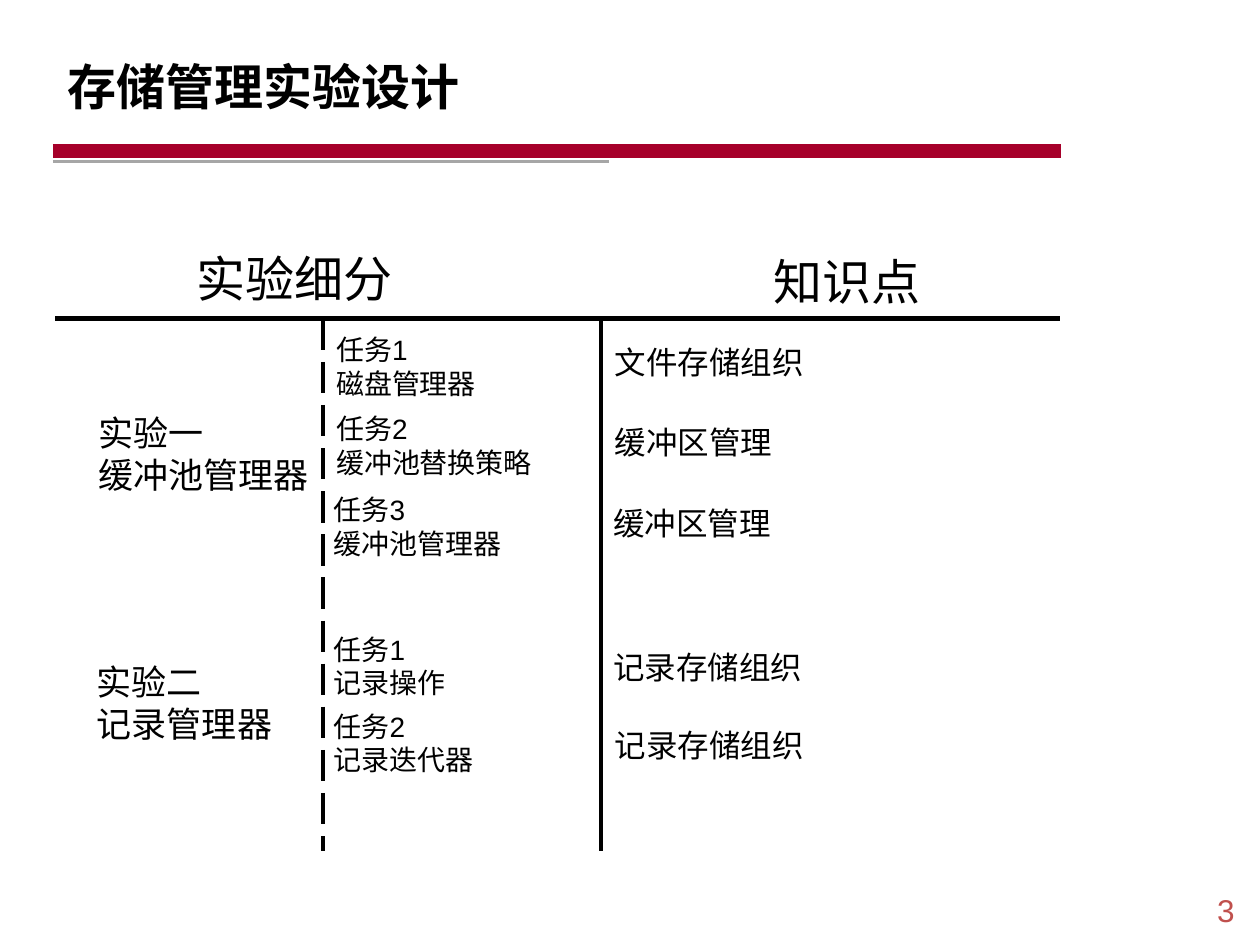
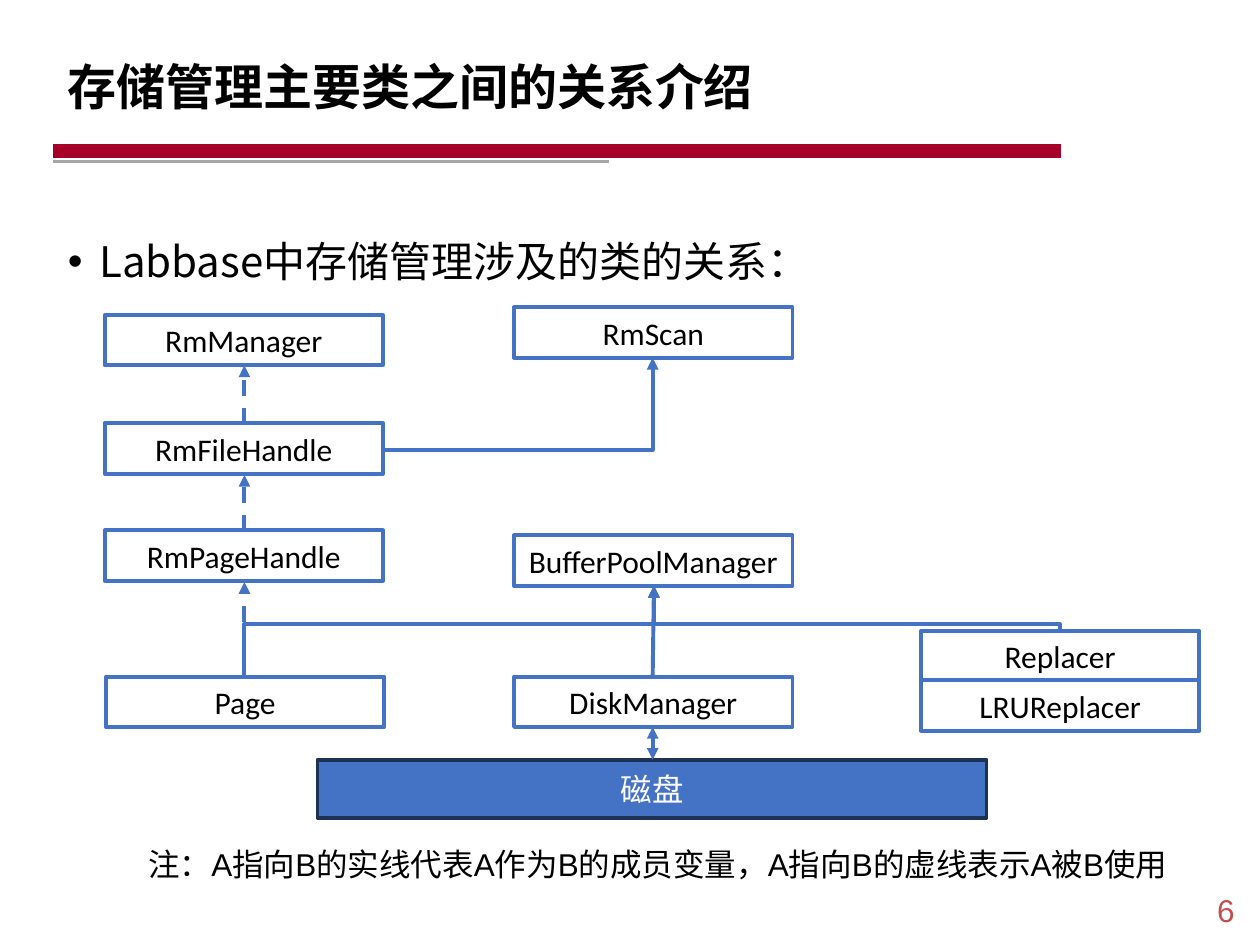
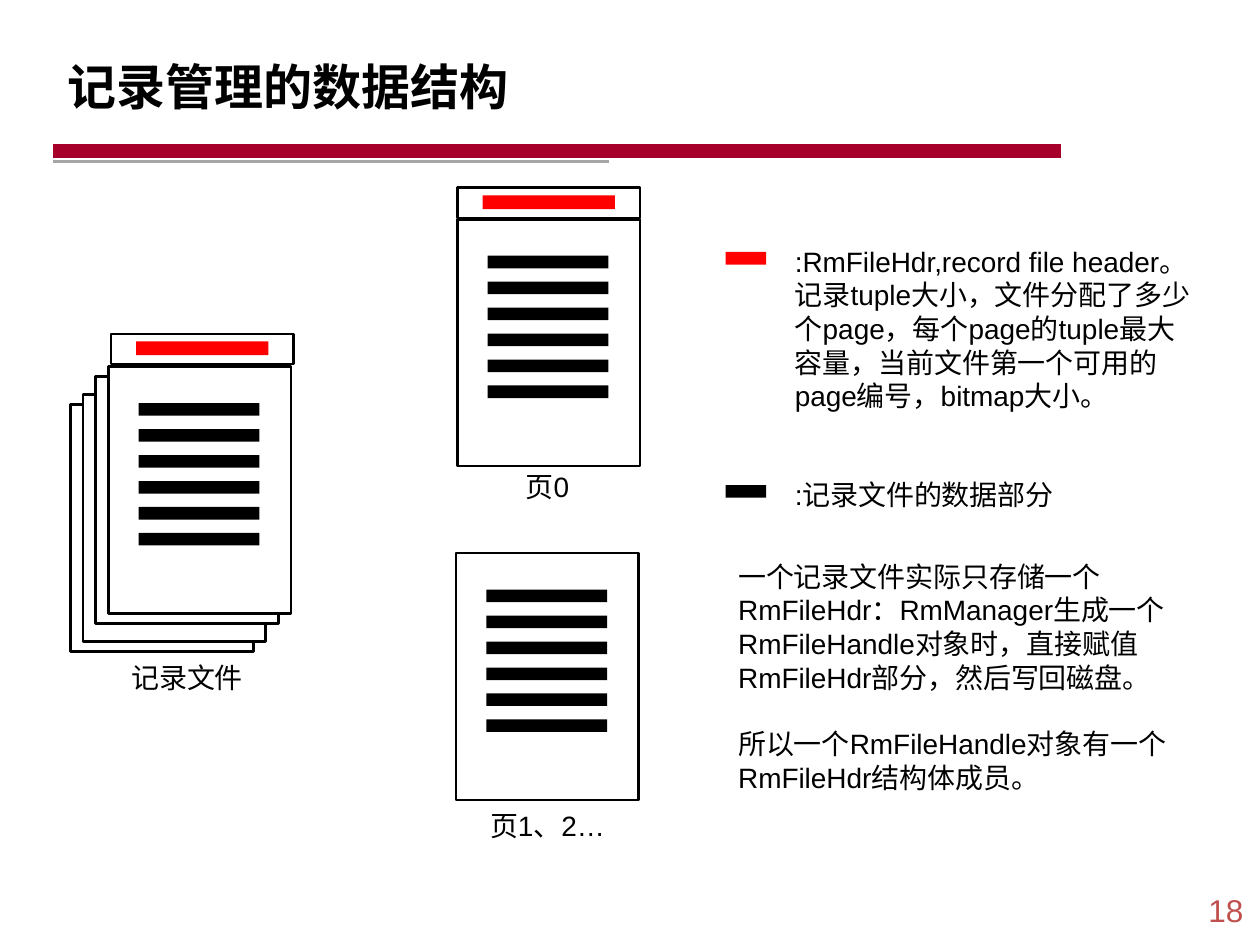
from lxml.etree import SubElement
from pptx import Presentation
from pptx.dml.color import RGBColor
from pptx.enum.dml import MSO_LINE
from pptx.enum.shapes import MSO_CONNECTOR, MSO_SHAPE
from pptx.enum.text import MSO_ANCHOR, PP_ALIGN
from pptx.oxml.ns import qn
from pptx.util import Inches, Pt

COLORS = {
    "black": "000000", "white": "FFFFFF", "band": "A6002A", "rule": "A6A6A6",
    "number": "C0504D", "blue": "4472C4", "navy": "1E3256", "red": "FF0000",
}
CJK = "Noto Sans CJK SC"
FONTS = {
    "title": {"name": CJK, "size": Pt(28), "bold": True},
    "bullet": {"name": CJK, "size": Pt(24)},
    "heading": {"name": "Arial", "size": Pt(28)},
    "lab": {"name": "Arial", "size": Pt(20)},
    "body": {"name": "Arial", "size": Pt(18)},
    "small": {"name": "Arial", "size": Pt(16)},
    "class": {"name": "Calibri", "size": Pt(18)},
}
BOX_W, BOX_H = 2.21, 0.4
PAGE_W, PAGE_H = 1.45, 1.96


def rgb(name):
    return RGBColor.from_string(COLORS[name])


def write(tf, text, font, color="black", align=PP_ALIGN.LEFT,
          anchor=MSO_ANCHOR.TOP, **paragraph):
    """Fill a text frame, one paragraph for each line of text."""
    tf.word_wrap = True
    tf.vertical_anchor = anchor
    for i, line in enumerate(text.split("\n")):
        p = tf.add_paragraph() if i else tf.paragraphs[0]
        p.alignment = align
        for key, value in paragraph.items():
            setattr(p, key, value)
        r = p.add_run()
        r.text = line
        for key, value in FONTS[font].items():
            setattr(r.font, key, value)
        r.font.color.rgb = rgb(color)
        SubElement(r.font._element, qn("a:ea"), typeface=CJK)


def add_text(s, x, y, w, h, text, font, **options):
    tf = s.shapes.add_textbox(Inches(x), Inches(y), Inches(w), Inches(h)).text_frame
    write(tf, text, font, **options)
    return tf


def add_rect(s, x, y, w, h, fill="white", line=None, width=1.5):
    sp = s.shapes.add_shape(MSO_SHAPE.RECTANGLE,
                            Inches(x), Inches(y), Inches(w), Inches(h))
    sp.shadow.inherit = False
    sp.fill.solid()
    sp.fill.fore_color.rgb = rgb(fill)
    if line:
        sp.line.color.rgb = rgb(line)
        sp.line.width = Pt(width)
    else:
        sp.line.fill.background()
    return sp


def add_line(s, x1, y1, x2, y2, color="black", width=2.25, dash=None,
             ends=(), kind=MSO_CONNECTOR.STRAIGHT):
    c = s.shapes.add_connector(kind, Inches(x1), Inches(y1), Inches(x2), Inches(y2))
    c.line.color.rgb = rgb(color)
    c.line.width = Pt(width)
    if dash:
        c.line.dash_style = dash
    for end in ends:
        SubElement(c.line._ln, qn(f"a:{end}"), type="triangle")
    SubElement(c._element.spPr, qn("a:effectLst"))
    return c


def add_arrow(s, x1, y1, x2, y2, dash=None, ends=("tailEnd",),
              kind=MSO_CONNECTOR.STRAIGHT):
    return add_line(s, x1, y1, x2, y2, "blue", dash=dash, ends=ends, kind=kind)


def add_corner_arrow(s, x1, y1, x2, y2):
    """Arrow that runs sideways and then turns up."""
    c = add_arrow(s, x1, y1, x2, y2, kind=MSO_CONNECTOR.ELBOW)
    c._element.spPr.find(qn("a:prstGeom")).set("prst", "bentConnector2")


def add_rising_arrow(s, x1, y1, x2, y2, turn):
    """Arrow that rises, crosses at the share `turn` of its height, and rises again."""
    c = add_arrow(s, x1, y1, x2, y2, kind=MSO_CONNECTOR.ELBOW)
    w, h = y1 - y2, abs(x2 - x1)
    c.left, c.top = Inches((x1 + x2 - w) / 2), Inches((y1 + y2 - h) / 2)
    c.width, c.height = Inches(w), Inches(h)
    xfrm = c._element.spPr.find(qn("a:xfrm"))
    xfrm.set("rot", str(270 * 60000))
    xfrm.set("flipH", "0")
    xfrm.set("flipV", "1" if x2 < x1 else "0")
    guides = c._element.spPr.find(qn("a:prstGeom")).get_or_add_avLst()
    SubElement(guides, qn("a:gd"), name="adj1", fmla=f"val {round(turn * 100000)}")


def add_slide(prs, title, number):
    """Blank slide with the shared bands, page number and title."""
    s = prs.slides.add_slide(prs.slide_layouts[6])
    add_line(s, 0.42, 1.2, 8.42, 1.2, "band", 8)
    add_line(s, 0.42, 1.28, 4.83, 1.28, "rule", 1.8)
    add_text(s, 9.46, 7.02, 0.54, 0.4, str(number), "body",
             color="number", align=PP_ALIGN.CENTER)
    add_text(s, 0.44, 0.25, 8.62, 0.86, title, "title", anchor=MSO_ANCHOR.MIDDLE)
    return s


def add_class(s, x, y, name):
    sp = add_rect(s, x, y, BOX_W, BOX_H, line="blue", width=2.25)
    write(sp.text_frame, name, "class", align=PP_ALIGN.CENTER, anchor=MSO_ANCHOR.MIDDLE)


def add_page(s, x, y):
    """File page with six lines of record data."""
    add_rect(s, x, y, PAGE_W, PAGE_H, line="black")
    for i in range(6):
        add_rect(s, x + 0.24, y + 0.29 + i * 0.206, 0.96, 0.1, "black")


def add_file_header(s, x, y):
    add_rect(s, x, y, PAGE_W, 0.24, line="black")
    add_rect(s, x + 0.2, y + 0.06, 1.05, 0.11, "red")


def build_lab_design(prs):
    s = add_slide(prs, "存储管理实验设计", 3)
    add_line(s, 0.44, 2.53, 8.41, 2.53, width=3)
    add_line(s, 2.56, 2.53, 2.56, 6.75, dash=MSO_LINE.LONG_DASH)
    add_line(s, 4.77, 2.53, 4.77, 6.75)
    add_text(s, 1.46, 1.92, 1.89, 0.57, "实验细分", "heading")
    add_text(s, 6.04, 1.95, 1.43, 0.57, "知识点", "heading")
    add_text(s, 0.68, 3.22, 1.89, 0.77, "实验一\n缓冲池管理器", "lab")
    add_text(s, 0.67, 5.19, 1.89, 0.77, "实验二\n记录管理器", "lab")
    tasks = [
        (2.57, 2.59, "任务1\n磁盘管理器", 4.78, 2.67, "文件存储组织"),
        (2.57, 3.22, "任务2\n缓冲池替换策略", 4.78, 3.31, "缓冲区管理"),
        (2.55, 3.86, "任务3\n缓冲池管理器", 4.77, 3.95, "缓冲区管理"),
        (2.55, 4.97, "任务1\n记录操作", 4.77, 5.09, "记录存储组织"),
        (2.55, 5.58, "任务2\n记录迭代器", 4.78, 5.71, "记录存储组织"),
    ]
    for task_x, task_y, task, topic_x, topic_y, topic in tasks:
        add_text(s, task_x, task_y, 2.21, 0.64, task, "small")
        add_text(s, topic_x, topic_y, 3.63, 0.4, topic, "body")


def build_class_relations(prs):
    s = add_slide(prs, "存储管理主要类之间的关系介绍", 6)
    tf = add_text(s, 0.44, 1.54, 8.8, 5.84, "Labbase中存储管理涉及的类的关系：", "bullet",
                  line_spacing=1.7, space_before=Pt(10))
    pPr = tf.paragraphs[0]._p.get_or_add_pPr()
    pPr.set("marL", str(Inches(0.25)))
    pPr.set("indent", str(-Inches(0.25)))
    SubElement(pPr, qn("a:buFont"), typeface="Arial")
    SubElement(pPr, qn("a:buChar"), char="•")

    classes = [
        (0.83, 2.5, "RmManager"), (4.08, 2.44, "RmScan"),
        (0.83, 3.36, "RmFileHandle"), (0.83, 4.21, "RmPageHandle"),
        (4.08, 4.25, "BufferPoolManager"), (0.84, 5.37, "Page"),
        (4.08, 5.37, "DiskManager"), (7.31, 5.01, "Replacer"),
        (7.31, 5.4, "LRUReplacer"),
    ]
    for x, y, name in classes:
        add_class(s, x, y, name)
    disk = add_rect(s, 2.52, 6.03, 5.31, 0.46, "blue", "navy", 2.25)
    write(disk.text_frame, "磁盘", "body", color="white",
          align=PP_ALIGN.CENTER, anchor=MSO_ANCHOR.MIDDLE)

    add_arrow(s, 5.18, 5.77, 5.18, 6.03, ends=("headEnd", "tailEnd"))
    add_rising_arrow(s, 1.94, 5.37, 5.19, 4.65, 0.58)
    add_rising_arrow(s, 8.41, 5.01, 5.19, 4.65, 0.16)
    add_arrow(s, 5.18, 5.37, 5.19, 4.65)
    for start, end in [(5.37, 4.62), (4.21, 3.77), (3.36, 2.9)]:
        add_arrow(s, 1.94, start, 1.94, end, dash=MSO_LINE.DASH)
    add_corner_arrow(s, 3.04, 3.57, 5.18, 2.84)
    add_text(s, 0.93, 6.54, 8.58, 0.64,
             "注：A指向B的实线代表A作为B的成员变量，A指向B的虚线表示A被B使用",
             "body", align=PP_ALIGN.CENTER, anchor=MSO_ANCHOR.MIDDLE)


def build_record_structure(prs):
    s = add_slide(prs, "记录管理的数据结构", 18)
    for x, y, caption in [(0.43, 5.19, "记录文件"), (3.29, 3.68, "页0"),
                          (3.29, 6.37, "页1、2…")]:
        add_text(s, x, y, 2.11, 0.37, caption, "small", align=PP_ALIGN.CENTER)

    legend = [
        (2, "red", 1.45, ":RmFileHdr,record file header。记录tuple大小，文件分配了多少个page，"
         "每个page的tuple最大容量，当前文件第一个可用的page编号，bitmap大小。"),
        (3.85, "black", 0.37, ":记录文件的数据部分"),
    ]
    for y, color, h, meaning in legend:
        add_rect(s, 5.76, y, 0.32, 0.1, color)
        add_text(s, 6.21, y - 0.11, 3.34, h, meaning, "small")

    for i, y in enumerate([3.21, 3.13, 2.99]):
        add_rect(s, 0.56 + i * 0.1, y, PAGE_W, PAGE_H, line="black")
    for x, y in [(0.86, 2.91), (3.63, 1.74), (3.62, 4.39)]:
        add_page(s, x, y)
    for x, y in [(0.88, 2.65), (3.63, 1.49)]:
        add_file_header(s, x, y)

    tf = add_text(s, 5.76, 4.39, 3.79, 1.99,
                  "一个记录文件实际只存储一个RmFileHdr：RmManager生成一个RmFileHandle对象时，"
                  "直接赋值RmFileHdr部分，然后写回磁盘。\n"
                  "所以一个RmFileHandle对象有一个RmFileHdr结构体成员。", "small")
    tf.paragraphs[1].space_before = Pt(19)


def main():
    prs = Presentation()
    prs.slide_width, prs.slide_height = Inches(10), Inches(7.5)
    build_lab_design(prs)
    build_class_relations(prs)
    build_record_structure(prs)
    prs.save("out.pptx")


if __name__ == "__main__":
    main()
